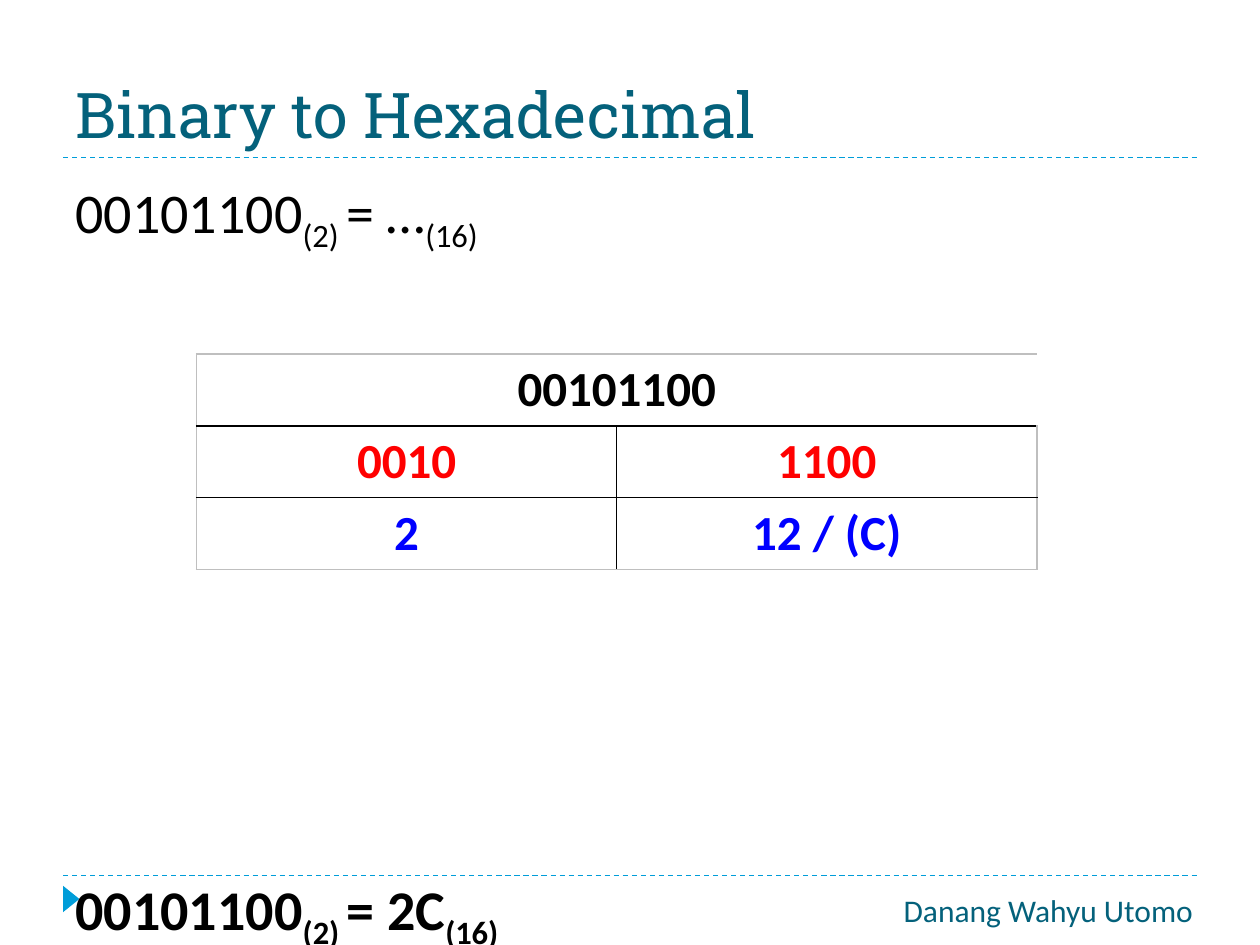
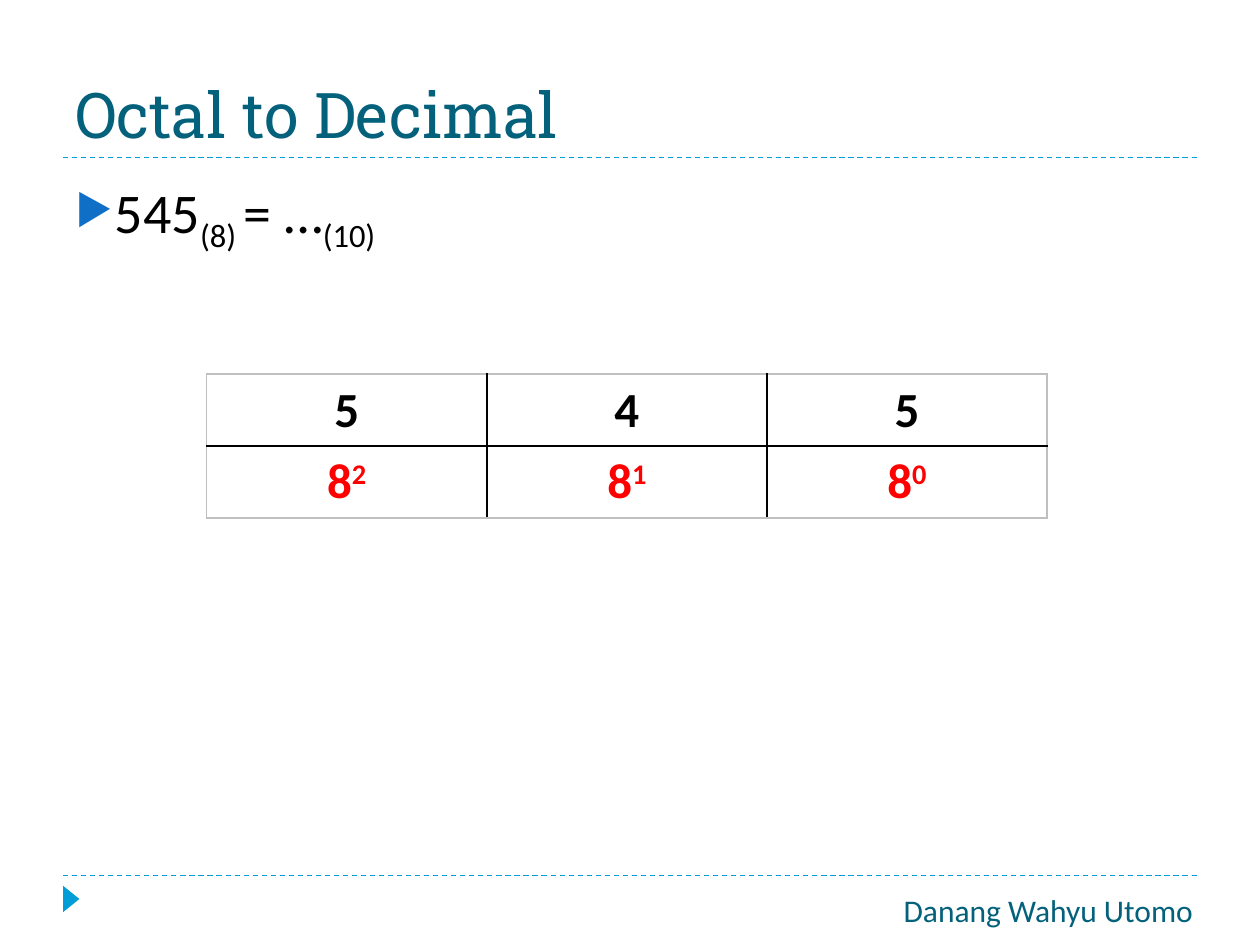
from lxml import etree
from pptx import Presentation
from pptx.dml.color import RGBColor
from pptx.enum.dml import MSO_LINE
from pptx.enum.shapes import MSO_CONNECTOR, MSO_SHAPE
from pptx.enum.text import MSO_ANCHOR, PP_ALIGN
from pptx.oxml.ns import qn
from pptx.util import Pt

STRAIGHT = MSO_CONNECTOR.STRAIGHT
TRIANGLE = MSO_SHAPE.ISOSCELES_TRIANGLE
DASH = MSO_LINE.DASH
LEFT = PP_ALIGN.LEFT
CENTER = PP_ALIGN.CENTER
TOP = MSO_ANCHOR.TOP
BOTTOM = MSO_ANCHOR.BOTTOM

EMU_PER_PX = 9144
BLANK_LAYOUT = 6
BORDER_WIDTH = 12700
SUBSCRIPT = -25
SUPERSCRIPT = 30
BODY_FONT = "Calibri"
TITLE_FONT = "Roboto Slab"
COLORS = {
    "title": "04617B",
    "accent": "009DD9",
    "bullet": "0F6FC6",
    "text": "000000",
    "red": "FF0000",
    "blue": "0000FF",
    "grid": "000000",
    "frame": "BFBFBF",
}


def px(length):
    return length * EMU_PER_PX


def rgb(name):
    return RGBColor.from_string(COLORS[name])


def write_text(paragraph, *pieces, size, color="text", font=BODY_FONT,
               bold=False, align=LEFT, shift=SUBSCRIPT):
    paragraph.alignment = align
    for index, piece in enumerate(pieces):
        run = paragraph.add_run()
        run.text = piece
        run.font.size = Pt(size)
        run.font.name = font
        run.font.bold = bold
        run.font.color.rgb = rgb(color)
        if index % 2:
            run._r.get_or_add_rPr().set("baseline", str(shift * 1000))


def add_bullet(paragraph):
    properties = paragraph._p.get_or_add_pPr()
    properties.set("marL", str(px(30)))
    properties.set("indent", str(-px(30)))
    color = etree.SubElement(properties, qn("a:buClr"))
    etree.SubElement(color, qn("a:srgbClr"), val=COLORS["bullet"])
    etree.SubElement(properties, qn("a:buSzPct"), val="76000")
    etree.SubElement(properties, qn("a:buChar"), char="▶")


def add_border(cell, side, color):
    properties = cell._tc.get_or_add_tcPr()
    line = etree.SubElement(properties, qn(f"a:ln{side}"), w=str(BORDER_WIDTH))
    if color is None:
        etree.SubElement(line, qn("a:noFill"))
        return
    fill = etree.SubElement(line, qn("a:solidFill"))
    etree.SubElement(fill, qn("a:srgbClr"), val=COLORS[color])


class Deck:
    def __init__(self):
        self.presentation = Presentation()
        self.presentation.slide_width = px(1000)
        self.presentation.slide_height = px(750)
        self.slide = None

    def start_slide(self, title):
        layout = self.presentation.slide_layouts[BLANK_LAYOUT]
        self.slide = self.presentation.slides.add_slide(layout)
        for y in (695, 125):
            self.dashed_line(50, 950, y)
        self.marker(46, 707, 21, 13)
        self.text(672, 702, 320, 40, "Danang Wahyu Utomo",
                  size=18, color="title", align=CENTER)
        self.text(50, 17, 900, 108, title, anchor=BOTTOM,
                  size=36, color="title", font=TITLE_FONT)

    def dashed_line(self, start, end, y):
        connector = self.slide.shapes.add_connector(
            STRAIGHT, px(start), px(y), px(end), px(y))
        connector.line.color.rgb = rgb("accent")
        connector.line.width = Pt(0.75)
        connector.line.dash_style = DASH
        etree.SubElement(connector._element.spPr, qn("a:effectLst"))

    def marker(self, left, top, width, height):
        shape = self.slide.shapes.add_shape(
            TRIANGLE, px(left), px(top), px(width), px(height))
        shape.rotation = 90
        shape.shadow.inherit = False
        shape.fill.solid()
        shape.fill.fore_color.rgb = rgb("accent")
        shape.line.fill.background()

    def text(self, left, top, width, height, *pieces, anchor=TOP,
             bullet=False, **style):
        shape = self.slide.shapes.add_textbox(
            px(left), px(top), px(width), px(height))
        frame = shape.text_frame
        frame.word_wrap = True
        frame.vertical_anchor = anchor
        paragraph = frame.paragraphs[0]
        if bullet:
            add_bullet(paragraph)
        write_text(paragraph, *pieces, **style)

    def table(self, left, top, rows, colors):
        row_count = len(rows)
        column_count = max(len(row) for row in rows)
        width, row_height = 667, 57
        table = self.slide.shapes.add_table(
            row_count, column_count, px(left), px(top),
            px(width), px(row_height * row_count)).table
        table.first_row = False
        table.horz_banding = False
        for column in table.columns:
            column.width = px(width) // column_count
        for row_index, (row, color) in enumerate(zip(rows, colors)):
            table.rows[row_index].height = px(row_height)
            merged = len(row) < column_count
            for column_index in range(column_count):
                cell = table.cell(row_index, column_index)
                divider = None if merged else "grid"
                add_border(cell, "L", divider if column_index else "frame")
                add_border(cell, "R", divider if column_index < column_count - 1 else "frame")
                add_border(cell, "T", "grid" if row_index else "frame")
                add_border(cell, "B", "grid" if row_index < row_count - 1 else "frame")
                cell.fill.background()
            if merged:
                table.cell(row_index, 0).merge(table.cell(row_index, column_count - 1))
            for column_index, pieces in enumerate(row):
                paragraph = table.cell(row_index, column_index).text_frame.paragraphs[0]
                write_text(paragraph, *pieces, size=28, color=color,
                           bold=True, align=CENTER, shift=SUPERSCRIPT)


def main():
    deck = Deck()

    deck.start_slide("Binary to Hexadecimal")
    deck.text(50, 136, 900, 64, "00101100", "(2) ", "= …", "(16)", size=32)
    deck.text(50, 689, 600, 61, "00101100", "(2) ", "= 2C", "(16)", size=32, bold=True)
    deck.table(156, 281,
               [[("00101100",)], [("0010",), ("1100",)], [("2",), ("12 / (C)",)]],
               ["text", "red", "blue"])

    deck.start_slide("Octal to Decimal")
    deck.text(50, 136, 900, 64, "545", "(8) ", "= …", "(10)", size=32, bullet=True)
    digits = "545"
    powers = [("8", str(power)) for power in reversed(range(len(digits)))]
    deck.table(164, 297, [[(digit,) for digit in digits], powers], ["text", "red"])

    deck.presentation.save("out.pptx")


if __name__ == "__main__":
    main()
